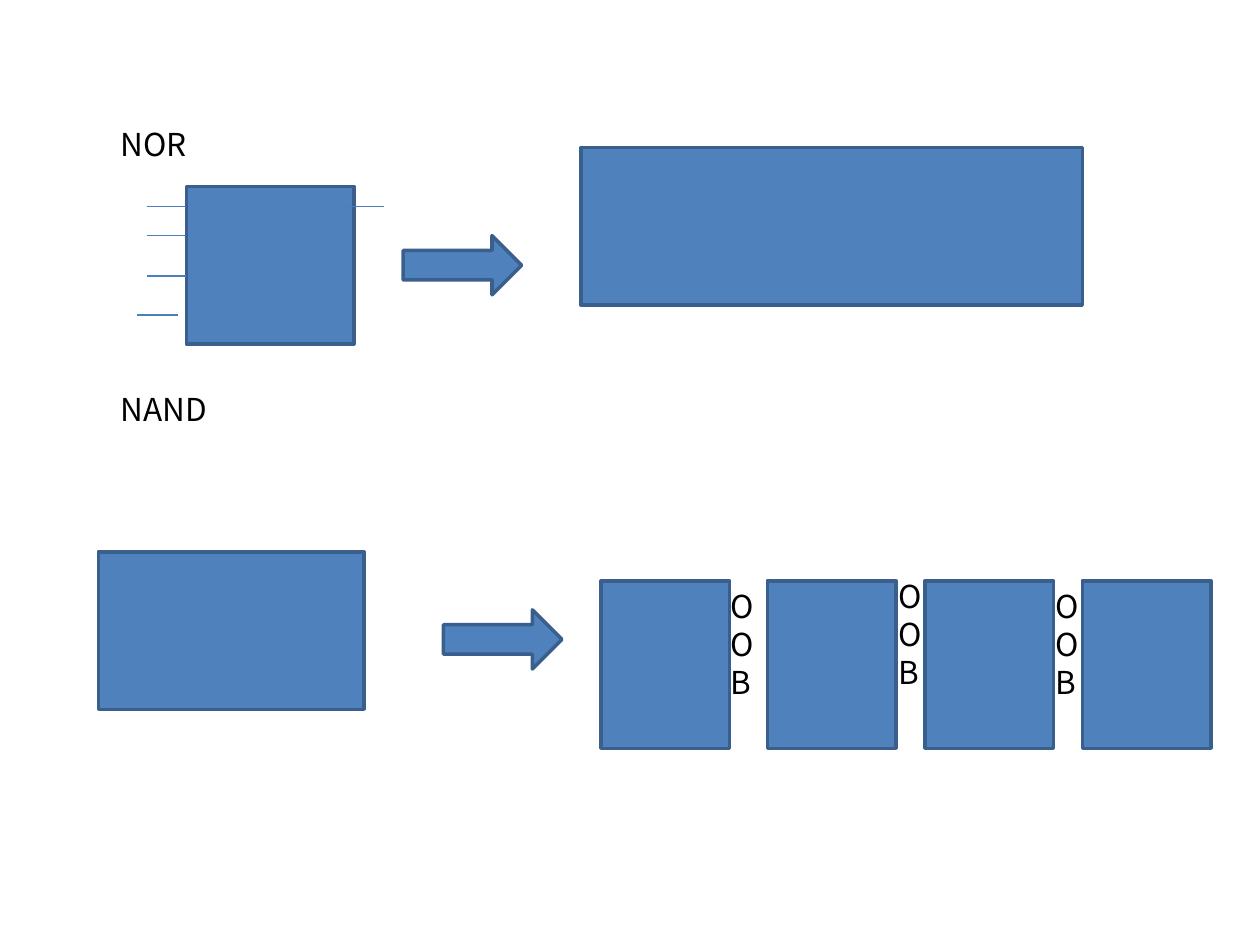
from dataclasses import dataclass
from pptx import Presentation
from pptx.dml.color import RGBColor
from pptx.enum.shapes import MSO_CONNECTOR as CONN, MSO_SHAPE as SHAPE
from pptx.enum.text import MSO_AUTO_SIZE as AUTO
from pptx.oxml.ns import qn
from pptx.util import Inches, Pt
from lxml.etree import SubElement


@dataclass(frozen=True)
class Theme:
    font: str = "Noto Sans CJK KR"
    size: float = 18
    text: str = "000000"
    fill: str = "4F81BD"
    outline: str = "3A5F8C"
    outline_width: float = 2
    pin: str = "4B7EBC"
    pin_width: float = 0.75


class Diagram:
    def __init__(self, slide, theme):
        self.slide = slide
        self.theme = theme

    def shape(self, kind, x, y, w, h):
        t = self.theme
        sp = self.slide.shapes.add_shape(kind, Inches(x), Inches(y), Inches(w), Inches(h))
        sp.shadow.inherit = False
        sp.fill.solid()
        sp.fill.fore_color.rgb = RGBColor.from_string(t.fill)
        sp.line.color.rgb = RGBColor.from_string(t.outline)
        sp.line.width = Pt(t.outline_width)

    def block(self, x, y, w, h):
        self.shape(SHAPE.RECTANGLE, x, y, w, h)

    def arrow(self, x, y):
        self.shape(SHAPE.RIGHT_ARROW, x, y, 0.94, 0.47)

    def pin(self, x1, x2, y):
        line = self.slide.shapes.add_connector(
            CONN.STRAIGHT, Inches(x1), Inches(y), Inches(x2), Inches(y))
        line.line.color.rgb = RGBColor.from_string(self.theme.pin)
        line.line.width = Pt(self.theme.pin_width)
        SubElement(line._element.spPr, qn("a:effectLst"))

    def label(self, lines, x, y, w, h):
        t = self.theme
        sp = self.slide.shapes.add_textbox(Inches(x), Inches(y), Inches(w), Inches(h))
        tf = sp.text_frame
        tf.word_wrap = False
        tf.auto_size = AUTO.SHAPE_TO_FIT_TEXT
        for i, text in enumerate(lines):
            p = tf.add_paragraph() if i else tf.paragraphs[0]
            r = p.add_run()
            r.text = text
            r.font.name = t.font
            r.font.size = Pt(t.size)
            r.font.color.rgb = RGBColor.from_string(t.text)


prs = Presentation()
prs.slide_width, prs.slide_height = Inches(10), Inches(7.5)
diagram = Diagram(prs.slides.add_slide(prs.slide_layouts[6]), Theme())

diagram.label(["NOR"], 0.86, 0.94, 0.74, 0.4)
diagram.label(["NAND"], 0.86, 3.05, 0.93, 0.4)

diagram.block(1.48, 1.48, 1.33, 1.25)
for y in (1.64, 1.87, 2.19):
    diagram.pin(1.17, 1.48, y)
diagram.pin(1.09, 1.41, 2.5)
diagram.pin(2.73, 3.05, 1.64)

diagram.block(4.61, 1.17, 3.98, 1.25)
diagram.block(0.78, 4.38, 2.11, 1.25)
diagram.arrow(3.52, 4.84)
diagram.arrow(3.2, 1.87)

for x in (4.77, 6.09, 7.34, 8.59):
    diagram.block(x, 4.61, 1.02, 1.33)
for x, y in ((5.7, 4.61), (7.03, 4.53), (8.28, 4.61)):
    diagram.label("OOB", x, y, 0.4, 1.01)

prs.save("out.pptx")
